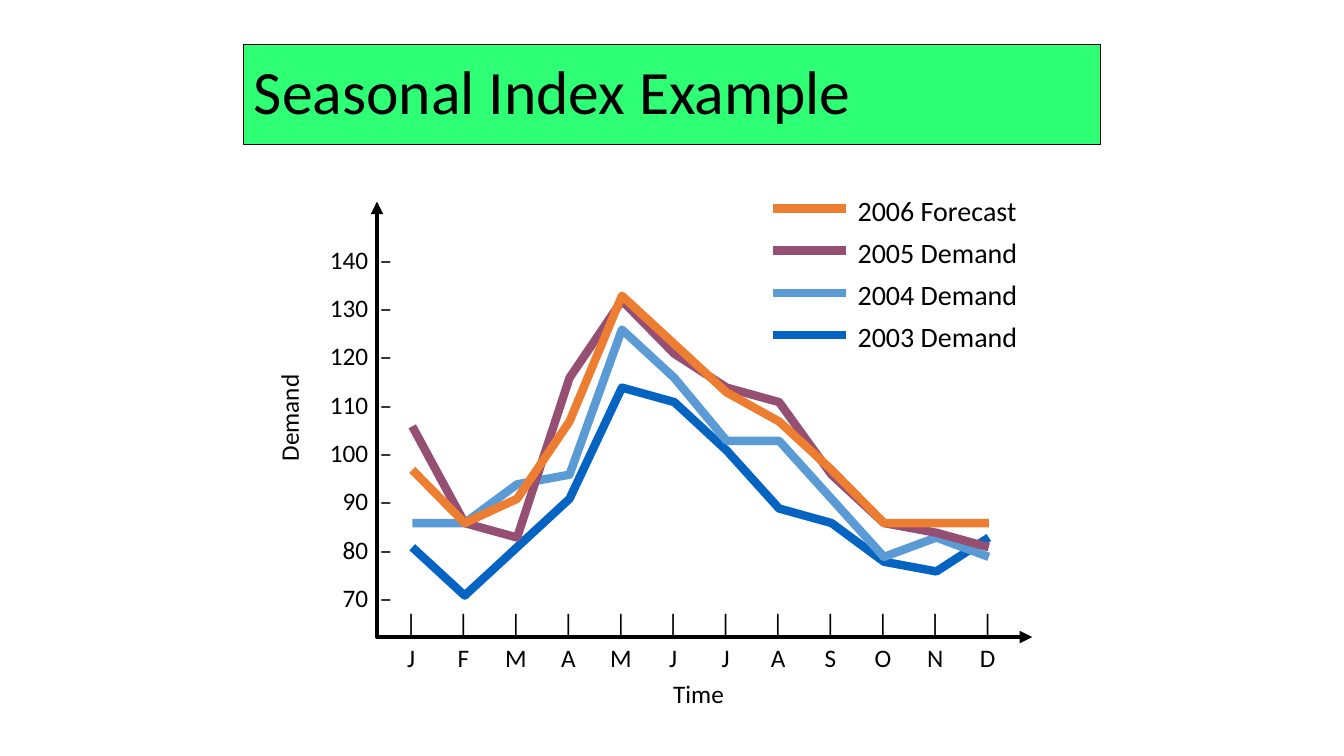
from dataclasses import dataclass

import lxml.etree
import pptx
import pptx.chart.data
import pptx.dml.color
import pptx.enum.chart
import pptx.enum.shapes
import pptx.enum.text
import pptx.oxml
import pptx.oxml.ns
import pptx.util

COLOURS = {
    "ink": "000000",
    "banner": "2FFF74",
    "2003": "0563C1",
    "2004": "5B9BD5",
    "2005": "954F72",
    "2006": "ED7D31",
}
FONT = "Calibri"
CELL = 0.1  # inches: the slide is a grid of 133.3 columns by 75 rows
MONTHS = "JFMAMJJASOND"
MONTH_STEP = 5.2
FIRST_MONTH = 40.9
LOWEST, HIGHEST = 60, 140
DEMAND_TOP, DEMAND_ROWS = 25.5, 38.4


@dataclass(frozen=True)
class Year:
    name: str
    label: str
    demand: tuple[int, ...]


@dataclass(frozen=True)
class Caption:
    lines: tuple[str, ...]
    column: float
    row: float
    columns: float
    rows: float
    size: int = 18
    spacing: float = 1.0
    align: str = "LEFT"
    rotation: int = 0
    tab_stops: tuple[float, ...] = ()


YEARS = (
    Year("2003", "2003 Demand", (80, 70, 80, 90, 113, 110, 100, 88, 85, 77, 75, 82)),
    Year("2004", "2004 Demand", (85, 85, 93, 95, 125, 115, 102, 102, 90, 78, 82, 78)),
    Year("2005", "2005 Demand", (105, 85, 82, 115, 131, 120, 113, 110, 95, 85, 83, 80)),
    Year("2006", "2006 Forecast", (96, 85, 90, 106, 132, 122, 112, 106, 96, 85, 85, 85)),
)
NEWEST_FIRST = YEARS[::-1]

CAPTIONS = (
    Caption(tuple(f"{level}  –" for level in range(140, 60, -10)),
            31.6, 21.9, 8.3, 39.8, spacing=1.6, align="RIGHT"),
    Caption(("\t|" * len(MONTHS), "".join(f"\t{month}" for month in MONTHS)),
            37.7, 59.3, 62.2, 7.9, spacing=1.15,
            tab_stops=tuple(2.1 + MONTH_STEP * i for i in range(len(MONTHS)))),
    Caption(("Time",), 65.8, 66.8, 7.1, 4),
    Caption(("Demand",), 23.3, 39.4, 10.7, 4, rotation=270),
    Caption(tuple(year.label for year in NEWEST_FIRST),
            84.1, 17.9, 18.6, 17.8, size=20, spacing=1.25),
)


def cells(count: float) -> pptx.util.Length:
    return pptx.util.Inches(count * CELL)


def colour(name: str) -> pptx.dml.color.RGBColor:
    return pptx.dml.color.RGBColor.from_string(COLOURS[name])


def set_line(line, name: str, width: float) -> None:
    line.color.rgb = colour(name)
    line.width = pptx.util.Pt(width)


def set_font(paragraph, size: int) -> None:
    paragraph.font.name = FONT
    paragraph.font.size = pptx.util.Pt(size)
    paragraph.font.color.rgb = colour("ink")


def add_title(slide) -> None:
    banner = slide.shapes.add_shape(
        pptx.enum.shapes.MSO_SHAPE.RECTANGLE,
        cells(24.2), cells(4.4), cells(85), cells(9.9))
    banner.shadow.inherit = False
    banner.fill.solid()
    banner.fill.fore_color.rgb = colour("banner")
    set_line(banner.line, "ink", 0.75)
    banner.text_frame.word_wrap = True
    banner.text_frame.vertical_anchor = pptx.enum.text.MSO_ANCHOR.MIDDLE
    heading = banner.text_frame.paragraphs[0]
    heading.text = "Seasonal Index Example"
    heading.alignment = pptx.enum.text.PP_ALIGN.LEFT
    heading.line_spacing = 0.9
    set_font(heading, 44)


def add_caption(slide, caption: Caption) -> None:
    box = slide.shapes.add_textbox(
        cells(caption.column), cells(caption.row),
        cells(caption.columns), cells(caption.rows))
    box.rotation = caption.rotation
    frame = box.text_frame
    frame.word_wrap = False
    frame.auto_size = pptx.enum.text.MSO_AUTO_SIZE.SHAPE_TO_FIT_TEXT
    for index, line in enumerate(caption.lines):
        paragraph = frame.add_paragraph() if index else frame.paragraphs[0]
        paragraph.text = line
        paragraph.alignment = pptx.enum.text.PP_ALIGN[caption.align]
        paragraph.line_spacing = caption.spacing
        if caption.tab_stops:
            properties = paragraph._p.get_or_add_pPr()
            stops = lxml.etree.SubElement(properties, pptx.oxml.ns.qn("a:tabLst"))
            for stop in caption.tab_stops:
                lxml.etree.SubElement(stops, pptx.oxml.ns.qn("a:tab"),
                                      pos=str(int(cells(stop))), algn="ctr")
        set_font(paragraph, caption.size)


def add_axes(slide) -> None:
    outline = slide.shapes.build_freeform(cells(37.4), cells(20))
    outline.add_line_segments(
        [(cells(37.4), cells(63.2)), (cells(102.4), cells(63.2))], close=False)
    axes = outline.convert_to_shape()
    axes.shadow.inherit = False
    axes.fill.background()
    set_line(axes.line, "ink", 3)
    stroke = axes.line._get_or_add_ln()
    for end in ("a:headEnd", "a:tailEnd"):
        lxml.etree.SubElement(stroke, pptx.oxml.ns.qn(end), type="triangle")


def fill_frame_with_plot(chart) -> None:
    """Stretch the plot over the whole frame, each month in its own band."""
    qn = pptx.oxml.ns.qn
    plot_area = chart._chartSpace.chart.plotArea
    for old in plot_area.findall(qn("c:layout")):
        plot_area.remove(old)
    layout = lxml.etree.Element(qn("c:layout"))
    manual = lxml.etree.SubElement(layout, qn("c:manualLayout"))
    for tag, value in (("layoutTarget", "inner"), ("xMode", "edge"), ("yMode", "edge"),
                       ("x", "0"), ("y", "0"), ("w", "1"), ("h", "1")):
        lxml.etree.SubElement(manual, qn(f"c:{tag}"), val=value)
    plot_area.insert(0, layout)

    value_axis = plot_area.find(qn("c:valAx"))
    for old in value_axis.findall(qn("c:crossBetween")):
        value_axis.remove(old)
    between = lxml.etree.Element(qn("c:crossBetween"), val="between")
    value_axis.find(qn("c:crosses")).addnext(between)


def add_demand_chart(slide) -> None:
    data = pptx.chart.data.CategoryChartData(number_format="0")
    data.categories = list(MONTHS)
    for year in YEARS:
        data.add_series(year.label, year.demand)
    chart = slide.shapes.add_chart(
        pptx.enum.chart.XL_CHART_TYPE.LINE,
        cells(FIRST_MONTH - MONTH_STEP / 2), cells(DEMAND_TOP),
        cells(MONTH_STEP * len(MONTHS)), cells(DEMAND_ROWS), data).chart
    chart.has_title = False
    chart.has_legend = False
    set_font(chart, 18)
    chart.plots[0].vary_by_categories = False
    chart.value_axis.minimum_scale = LOWEST
    chart.value_axis.maximum_scale = HIGHEST
    chart.value_axis.has_major_gridlines = False
    chart.value_axis.visible = False
    chart.category_axis.visible = False
    for series, year in zip(chart.plots[0].series, YEARS):
        series.smooth = False
        series.marker.style = pptx.enum.chart.XL_MARKER_STYLE.NONE
        set_line(series.format.line, year.name, 6)
    fill_frame_with_plot(chart)


def add_legend_key(slide, year: Year, row: float) -> None:
    key = slide.shapes.add_connector(
        pptx.enum.shapes.MSO_CONNECTOR.STRAIGHT,
        cells(76.7), cells(row), cells(83.9), cells(row))
    set_line(key.line, year.name, 6)
    lxml.etree.SubElement(key._element.spPr, pptx.oxml.ns.qn("a:effectLst"))


def main() -> None:
    deck = pptx.Presentation()
    deck.slide_width, deck.slide_height = cells(133.33), cells(75)
    slide = deck.slides.add_slide(deck.slide_layouts[6])
    add_title(slide)
    add_axes(slide)
    for caption in CAPTIONS:
        add_caption(slide, caption)
    add_demand_chart(slide)
    for position, year in enumerate(NEWEST_FIRST):
        add_legend_key(slide, year, 20.7 + 4.17 * position)
    deck.save("out.pptx")


if __name__ == "__main__":
    main()
